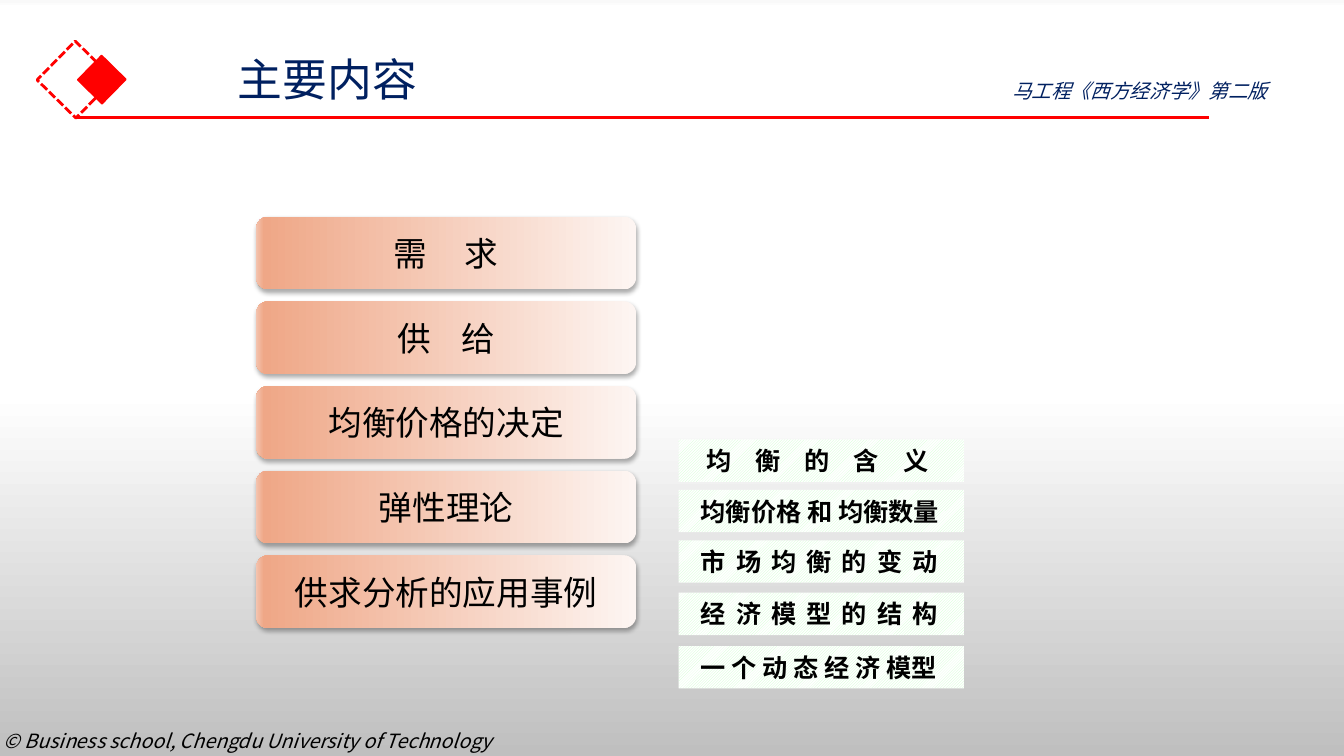
from dataclasses import dataclass

from lxml import etree
from pptx import Presentation
from pptx.dml.color import RGBColor
from pptx.enum.dml import MSO_LINE_DASH_STYLE as Dash, MSO_PATTERN_TYPE as Pattern
from pptx.enum.shapes import MSO_CONNECTOR_TYPE as Connector, MSO_SHAPE as Shape
from pptx.enum.text import MSO_ANCHOR as Anchor, MSO_AUTO_SIZE as AutoSize, PP_ALIGN as Align
from pptx.oxml.ns import qn
from pptx.util import Inches, Pt


@dataclass(frozen=True)
class Theme:
    font: str = "Noto Sans CJK SC"
    label_font: str = "Calibri"
    title_size: int = 32
    topic_size: int = 24
    label_size: int = 18
    small_size: int = 14
    navy: str = "002060"
    red: str = "FF0000"
    black: str = "000000"
    white: str = "FFFFFF"
    mint: str = "CCFFCC"
    backdrop: tuple = ((0, "F9F9F9"), (1, "FFFFFF"), (52, "FFFFFF"), (100, "BFBFBF"))
    peach: tuple = ((0, "FDF5F2"), (98, "EFA787"), (100, "F4C4AF"))


def rgb(color):
    return RGBColor.from_string(color)


def child(parent, tag, **attributes):
    return etree.SubElement(parent, qn(tag), {k: str(v) for k, v in attributes.items()})


def apply_gradient(fill, owner, stops, angle):
    """Fill with any number of stops; owner is the XML element holding the fill."""
    fill.gradient()
    fill.gradient_angle = angle
    stop_list = next(owner.iter(qn("a:gsLst")))
    for old_stop in list(stop_list):
        stop_list.remove(old_stop)
    for position, color in stops:
        child(child(stop_list, "a:gs", pos=position * 1000), "a:srgbClr", val=color)


class SlideBuilder:
    def __init__(self, slide, theme):
        self.slide = slide
        self.theme = theme

    def background(self):
        background = self.slide.background
        apply_gradient(background.fill, self.slide.element, self.theme.backdrop, 270)

    def run(self, paragraph, text, size, color, font=None, bold=False, italic=False, spacing=0):
        run = paragraph.add_run()
        run.text = text
        run.font.size = Pt(size)
        run.font.bold = bold
        run.font.italic = italic
        run.font.color.rgb = rgb(color)
        run.font.name = font or self.theme.font
        properties = run.font._element
        child(properties, "a:ea", typeface=self.theme.font)
        if spacing:
            properties.set("spc", str(round(spacing * 100)))

    def spaced_text(self, paragraph, text, spacing, **style):
        """Spread the characters, leaving no space after the last one."""
        if spacing:
            self.run(paragraph, text[:-1], spacing=spacing, **style)
            text = text[-1]
        self.run(paragraph, text, **style)

    def title(self, text, left, top, width, height):
        title = self.slide.shapes.title
        title.left, title.top = Inches(left), Inches(top)
        title.width, title.height = Inches(width), Inches(height)
        frame = title.text_frame
        frame.vertical_anchor = Anchor.TOP
        frame.auto_size = AutoSize.SHAPE_TO_FIT_TEXT
        paragraph = frame.paragraphs[0]
        paragraph.alignment = Align.LEFT
        self.run(paragraph, text, self.theme.title_size, self.theme.navy)

    def caption(self, text, left, top, width, height, color, wrap=True):
        box = self.slide.shapes.add_textbox(
            Inches(left), Inches(top), Inches(width), Inches(height))
        frame = box.text_frame
        frame.word_wrap = wrap
        frame.auto_size = AutoSize.SHAPE_TO_FIT_TEXT
        self.run(frame.paragraphs[0], text, self.theme.small_size, color, italic=True)

    def shape(self, kind, left, top, width, height):
        shape = self.slide.shapes.add_shape(
            kind, Inches(left), Inches(top), Inches(width), Inches(height))
        shape.shadow.inherit = False
        shape.fill.background()
        shape.line.fill.background()
        return shape

    def diamond(self, left, top, side, line_width, dashed=False):
        diamond = self.shape(Shape.RECTANGLE, left, top, side, side)
        diamond.rotation = 314.5
        diamond.line.color.rgb = rgb(self.theme.red)
        diamond.line.width = Pt(line_width)
        if dashed:
            diamond.line.dash_style = Dash.SQUARE_DOT
            dash = next(diamond.element.iter(qn("a:prstDash")))
            dash.set("val", "sysDash")
        else:
            diamond.fill.solid()
            diamond.fill.fore_color.rgb = rgb(self.theme.red)

    def rule(self, left, right, top):
        line = self.slide.shapes.add_connector(
            Connector.STRAIGHT, Inches(left), Inches(top), Inches(right), Inches(top))
        line.line.color.rgb = rgb(self.theme.red)
        line.line.width = Pt(2.25)
        child(line.element.spPr, "a:effectLst")

    def topic(self, text, top, spacing):
        button = self.shape(Shape.ROUNDED_RECTANGLE, 2.54, top, 3.77, 0.72)
        apply_gradient(button.fill, button.element, self.theme.peach, 180)
        effects = button.element.spPr.find(qn("a:effectLst"))
        shadow = child(effects, "a:outerShdw", blurRad=Pt(3.5), dist=Pt(2.2),
                       dir=5400000, algn="t", rotWithShape=0)
        color = child(shadow, "a:srgbClr", val=self.theme.black)
        child(color, "a:alpha", val=32000)
        frame = button.text_frame
        frame.vertical_anchor = Anchor.MIDDLE
        paragraph = frame.paragraphs[0]
        paragraph.alignment = Align.CENTER
        self.spaced_text(paragraph, text, spacing,
                         size=self.theme.topic_size, color=self.theme.black)

    def label(self, text, top, spacing, inset):
        label = self.shape(Shape.RECTANGLE, 6.73, top, 2.83, 0.42)
        label.fill.patterned()
        label.fill.pattern = Pattern.LIGHT_UPWARD_DIAGONAL
        label.fill.fore_color.rgb = rgb(self.theme.mint)
        label.fill.back_color.rgb = rgb(self.theme.white)
        frame = label.text_frame
        frame.word_wrap = True
        frame.vertical_anchor = Anchor.MIDDLE
        frame.margin_left, frame.margin_right = Inches(inset), Inches(0.22)
        paragraph = frame.paragraphs[0]
        paragraph.alignment = Align.LEFT
        self.spaced_text(paragraph, text, spacing, size=self.theme.label_size,
                         color=self.theme.black, font=self.theme.label_font, bold=True)


TOPICS = [("需 求", 10.8), ("供 给", 8.1), ("均衡价格的决定", 0),
          ("弹性理论", 0), ("供求分析的应用事例", 0)]
LABELS = [
    ("均 衡 的 含 义", 4.36, 6.5, 0.28),
    ("均衡价格 和 均衡数量", 4.86, 0, 0.22),
    ("市 场 均 衡 的 变 动", 5.36, 1.6, 0.22),
    ("经 济 模 型 的 结 构", 5.88, 1.6, 0.22),
    ("一 个 动 态 经 济 模型", 6.41, 0, 0.22),
]


def main():
    presentation = Presentation()
    presentation.slide_width = Inches(13.33)
    presentation.slide_height = Inches(7.5)
    slide = presentation.slides.add_slide(presentation.slide_layouts[5])
    theme = Theme()
    builder = SlideBuilder(slide, theme)

    builder.background()
    builder.caption("© Business school, Chengdu University of Technology",
                    -0.06, 7.18, 5.31, 0.34, theme.black, wrap=False)
    builder.diamond(0.48, 0.52, 0.54, 2, dashed=True)
    builder.diamond(0.84, 0.62, 0.34, 1)
    builder.rule(0.75, 11.99, 1.17)
    builder.title("主要内容", 2.26, 0.46, 4.96, 0.64)
    builder.caption("马工程《西方经济学》第二版", 9.94, 0.73, 3.24, 0.34, theme.navy)
    for index, (text, spacing) in enumerate(TOPICS):
        builder.topic(text, 2.15 + 0.84 * index, spacing)
    for text, top, spacing, inset in LABELS:
        builder.label(text, top, spacing, inset)

    presentation.save("out.pptx")


if __name__ == "__main__":
    main()
